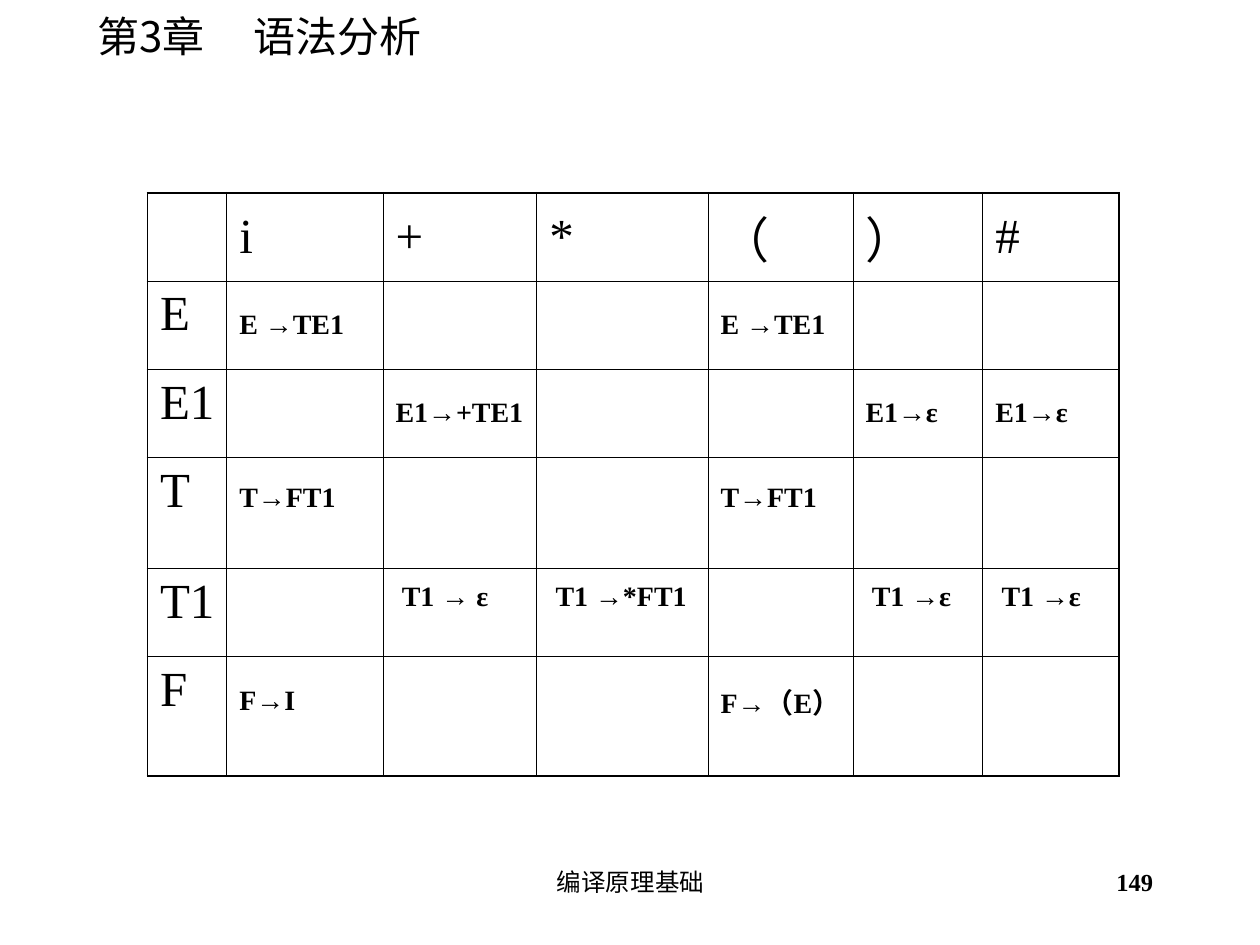
from lxml.etree import SubElement
from pptx import Presentation
from pptx.dml.color import RGBColor
from pptx.enum.text import MSO_ANCHOR, MSO_AUTO_SIZE, PP_ALIGN
from pptx.oxml.ns import qn
from pptx.util import Inches, Pt

TITLE = "第3章\t语法分析"
TITLE_TAB = 1.24
FOOTERS = [
    ("编译原理基础", 3.42, 3.17, PP_ALIGN.CENTER, False),
    ("149", 7.17, 2.08, PP_ALIGN.RIGHT, True),
]
COLUMNS = [0.63, 1.24, 1.22, 1.36, 1.15, 1.03, 1.08]
ROW_HEIGHTS = [0.7, 0.7, 0.7, 0.88, 0.7, 0.95]
PARSE_TABLE = [
    ["", "i", "+", "*", "（", "）", "#"],
    ["E", "E →TE1", "", "", "E →TE1", "", ""],
    ["E1", "", "E1→+TE1", "", "", "E1→ε", "E1→ε"],
    ["T", "T→FT1", "", "", "T→FT1", "", ""],
    ["T1", "", "T1 → ε", "T1 →*FT1", "", "T1 →ε", "T1 →ε"],
    ["F", "F→I", "", "", "F→（E）", "", ""],
]
RAISED_ROWS = ("T", "T1", "F")
INDENTED_ROW = "T1"
CJK_FONT = "Noto Sans CJK SC"
BLACK = "000000"
THIN, THICK = 0.45, 1.08


def rgb(value):
    """Return the colour for a hex string."""
    return RGBColor.from_string(value)


def write(tf, text, size=28, bold=False, font="Times New Roman", color=BLACK,
          align=PP_ALIGN.LEFT, tab=None):
    """Put formatted text in the first paragraph of a text frame."""
    p = tf.paragraphs[0]
    p.alignment = align
    if tab:
        tabs = SubElement(p._p.get_or_add_pPr(), qn("a:tabLst"))
        SubElement(tabs, qn("a:tab"), pos=str(Inches(tab)), algn="l")
    r = p.add_run()
    r.text = text
    r.font.size, r.font.bold, r.font.name = Pt(size), bold, font
    r.font.color.rgb = rgb(color)
    SubElement(r._r.get_or_add_rPr(), qn("a:ea"), typeface=CJK_FONT)


def set_borders(cell, **widths):
    """Draw the cell edges in black at the given point widths."""
    tcPr = cell._tc.get_or_add_tcPr()
    for index, (edge, width) in enumerate(widths.items()):
        line = SubElement(tcPr, qn(f"a:ln{edge}"), w=str(Pt(width)))
        fill = SubElement(line, qn("a:solidFill"))
        SubElement(fill, qn("a:srgbClr"), val=BLACK)
        tcPr.remove(line)
        tcPr.insert(index, line)


def add_title(s):
    """Place the chapter title."""
    title = s.shapes.title
    title.left, title.top = Inches(0.67), Inches(0.03)
    title.width, title.height = Inches(2.84), Inches(0.5)
    tf = title.text_frame
    tf.auto_size, tf.word_wrap = MSO_AUTO_SIZE.NONE, False
    tf.vertical_anchor = MSO_ANCHOR.TOP
    write(tf, TITLE, size=24, font=CJK_FONT, tab=TITLE_TAB)


def add_parse_table(s):
    """Build the predictive parsing table."""
    last_row, last_col = len(ROW_HEIGHTS) - 1, len(COLUMNS) - 1
    table = s.shapes.add_table(
        len(ROW_HEIGHTS), len(COLUMNS), Inches(1.17), Inches(1.53),
        Inches(sum(COLUMNS)), Inches(sum(ROW_HEIGHTS))).table
    for column, width in zip(table.columns, COLUMNS):
        column.width = Inches(width)
    for i, (row, height) in enumerate(zip(PARSE_TABLE, ROW_HEIGHTS)):
        table.rows[i].height = Inches(height)
        for j, text in enumerate(row):
            cell = table.cell(i, j)
            cell.fill.background()
            set_borders(cell, L=THICK if j == 0 else THIN,
                        R=THICK if j == last_col else THIN,
                        T=THICK if i == 0 else THIN,
                        B=THICK if i == last_row else THIN)
            if not text:
                continue
            rule = i > 0 and j > 0
            cell.vertical_anchor = MSO_ANCHOR.TOP if j == 0 else MSO_ANCHOR.MIDDLE
            if j == 0:
                cell.margin_right = Inches(0.02)
            if rule and row[0] in RAISED_ROWS:
                cell.margin_bottom = Inches(0.29)
            if rule and row[0] == INDENTED_ROW:
                cell.margin_left = Inches(0.15)
            write(cell.text_frame, text, size=16 if rule else 28, bold=rule)


def add_footers(s):
    """Add the course name and the page number."""
    for text, left, width, align, bold in FOOTERS:
        tf = s.shapes.add_textbox(Inches(left), Inches(6.83),
                                  Inches(width), Inches(0.5)).text_frame
        tf.word_wrap = True
        write(tf, text, size=14, bold=bold, align=align)


def main():
    """Build and save the slide."""
    prs = Presentation()
    prs.slide_width, prs.slide_height = Inches(10), Inches(7.5)
    s = prs.slides.add_slide(prs.slide_layouts[5])
    add_title(s)
    add_parse_table(s)
    add_footers(s)
    prs.save("out.pptx")


if __name__ == "__main__":
    main()
